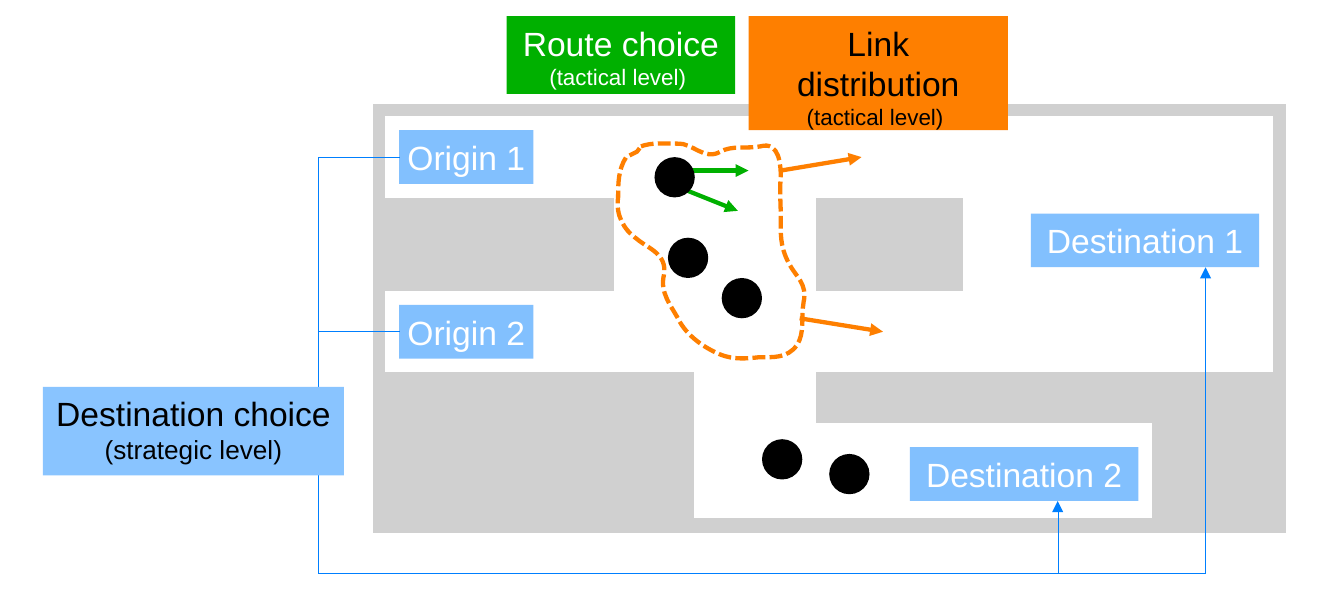
from lxml import etree
from pptx import Presentation
from pptx.dml.color import RGBColor
from pptx.enum.dml import MSO_LINE
from pptx.enum.shapes import MSO_CONNECTOR, MSO_SHAPE
from pptx.enum.text import MSO_ANCHOR, PP_ALIGN
from pptx.oxml.ns import qn
from pptx.util import Cm, Pt

RECT, OVAL = MSO_SHAPE.RECTANGLE, MSO_SHAPE.OVAL
STRAIGHT, DASH = MSO_CONNECTOR.STRAIGHT, MSO_LINE.SQUARE_DOT
CENTER = PP_ALIGN.CENTER
TOP, MIDDLE = MSO_ANCHOR.TOP, MSO_ANCHOR.MIDDLE

FONT = "Arial"
WHITE, BLACK, GREY = "FFFFFF", "000000", "D0D0D0"
BLUE, PALE_BLUE, ORANGE, GREEN = "007FFE", "89C4FF", "FE7F00", "00B000"
HAIRLINE, THICK = 0, 2.3
UNIT = 2.54      # centimetres in one unit of the floor plan


def length(v):
    return Cm(v * UNIT)


def color(hex_string):
    return RGBColor.from_string(hex_string)


def set_line(shape, line_color, width):
    shape.line.color.rgb = color(line_color)
    shape.line.width = Pt(width)
    ln = shape._element.spPr.find(qn("a:ln"))
    ln.set("w", str(Pt(width)))  # a zero width has to be written out
    return ln


def add_shape(s, kind, x, y, w, h, fill, alpha=None):
    sp = s.shapes.add_shape(kind, *map(length, (x, y, w, h)))
    sp.shadow.inherit = False
    sp.fill.solid()
    sp.fill.fore_color.rgb = color(fill)
    sp.line.fill.background()
    if alpha:
        clr = sp._element.spPr.find(qn("a:solidFill"))[0]
        etree.SubElement(clr, qn("a:alpha")).set("val", str(alpha * 1000))
    return sp


def add_text(sp, lines, text_color, anchor, wrap):
    tf = sp.text_frame
    tf.word_wrap = wrap
    tf.vertical_anchor = anchor
    for i, (text, size) in enumerate(lines):
        p = tf.add_paragraph() if i else tf.paragraphs[0]
        p.alignment = CENTER
        r = p.add_run()
        r.text = text
        r.font.name, r.font.size = FONT, Pt(size)
        r.font.color.rgb = color(text_color)


def add_line(s, x1, y1, x2, y2, line_color, width, arrow=False):
    c = s.shapes.add_connector(STRAIGHT, *map(length, (x1, y1, x2, y2)))
    ln = set_line(c, line_color, width)
    if arrow:
        etree.SubElement(ln, qn("a:tailEnd")).set("type", "triangle")
    etree.SubElement(c._element.spPr, qn("a:effectLst"))


def add_floor_plan(s, x, y, w, h):
    """Grey building with the walkable areas cut out in white."""
    areas = [
        (0, 0, w, h, GREY),                                  # building
        (0.1, 0.1, 6.6, 0.6, WHITE), (0.1, 1.4, 5.7, 0.6, WHITE),
        (1.8, 0.6, 1.5, 1.1, WHITE), (4.4, 0.7, 2.3, 1.3, WHITE),
        (2.4, 1.98, 0.9, 0.7, WHITE), (2.4, 2.38, 3.4, 0.7, WHITE),
    ]
    for dx, dy, aw, ah, fill in areas:
        sp = add_shape(s, RECT, x + dx, y + dy, aw, ah, fill)
        set_line(sp, WHITE, HAIRLINE)


def add_place_labels(s, x, y):
    """Origins and destinations, relative to the corner of the plan."""
    places = [("Origin 1", 0.2, 0.2, 1), ("Origin 2", 0.2, 1.5, 1),
              ("Destination 1", 4.9, 0.82, 1.7),
              ("Destination 2", 4, 2.56, 1.7)]
    for name, dx, dy, w in places:
        sp = add_shape(s, RECT, x + dx, y + dy, w, 0.4, BLUE, alpha=49)
        add_text(sp, [(name, 18)], WHITE, MIDDLE, False)


def add_destination_links(s, x, y, w, h):
    """Lines from the origins round the plan to the destinations."""
    right, bottom = x + w, y + h
    for line_x, tip in ((right - 1.1, 3.73), (right, 1.99)):
        add_line(s, line_x, bottom, line_x, tip, BLUE, HAIRLINE, arrow=True)
    add_line(s, right, bottom, x, bottom, BLUE, HAIRLINE)
    add_line(s, x, y, x, bottom, BLUE, HAIRLINE)
    for dy in (0, 1.3):
        add_line(s, x, y + dy, x + 0.6, y + dy, BLUE, HAIRLINE)


def add_caption(s, x, y, w, h, fill, text_color, title, level, level_size):
    sp = add_shape(s, RECT, x, y, w, h, fill)
    add_text(sp, [(title, 18), (level, level_size)], text_color, TOP, True)


def bend_segments(sp, count):
    """Join each three straight segments into one curve."""
    segments = list(sp._element.iter(qn("a:lnTo")))
    for i in range(0, 3 * count, 3):
        curve = etree.Element(qn("a:cubicBezTo"))
        segments[i].addprevious(curve)
        for segment in segments[i:i + 3]:
            curve.append(segment[0])
            segment.getparent().remove(segment)


def add_group_outline(s, x, y):
    """Dashed curve round the people, in hundredths of a unit."""
    curves = [  # two control points and an end point
        ((26, 0), (36, 1), (45, 1)), ((56, 0), (65, 14), (77, 7)),
        ((86, 2), (97, 5), (107, 3)), ((121, -1), (122, 17), (122, 26)),
        ((121, 36), (122, 46), (122, 55)), ((122, 67), (121, 77), (128, 90)),
        ((133, 100), (142, 105), (139, 119)),
        ((137, 130), (140, 142), (134, 151)),
        ((127, 161), (116, 160), (106, 160)),
        ((97, 161), (87, 162), (77, 158)), ((65, 153), (52, 144), (46, 132)),
        ((40, 121), (32, 112), (35, 99)), ((38, 83), (23, 79), (15, 72)),
        ((5, 65), (-1, 54), (1, 41)), ((1, 31), (1, 20), (7, 11)),
    ]
    points = [point for curve in curves for point in curve]
    fb = s.shapes.build_freeform(18, 3, scale=length(0.01))
    fb.add_line_segments(points + [(15, 7)], close=True)
    sp = fb.convert_to_shape(length(x), length(y))
    bend_segments(sp, len(curves))
    sp.shadow.inherit = False
    sp.fill.background()
    set_line(sp, ORANGE, THICK)
    sp.line.dash_style = DASH


def add_people(s, x, y):
    """Walkers, their route arrows and the link arrows of the group."""
    arrows = [(0.94, 0.1, 1.54, 0, ORANGE), (1.08, 1.2, 1.7, 1.3, ORANGE),
              (0.2, 0.1, 0.7, 0.1, GREEN), (0.12, 0.2, 0.62, 0.4, GREEN)]
    for x1, y1, x2, y2, c in arrows:
        add_line(s, x + x1, y + y1, x + x2, y + y2, c, THICK, arrow=True)
    for dx, dy in ((0, 0), (0.1, 0.6), (0.5, 0.9), (0.8, 2.1), (1.3, 2.21)):
        add_shape(s, OVAL, x + dx, y + dy, 0.3, 0.3, BLACK)


def main():
    prs = Presentation()
    prs.slide_width, prs.slide_height = length(10), length(4.4)
    s = prs.slides.add_slide(prs.slide_layouts[6])

    add_floor_plan(s, 2.77, 0.77, 6.8, 3.2)
    add_place_labels(s, 2.77, 0.77)
    add_destination_links(s, 2.37, 1.17, 6.6, 3.1)
    add_group_outline(s, 4.59, 1.06)
    add_people(s, 4.87, 1.17)
    add_caption(s, 0.32, 2.88, 2.24, 0.66, PALE_BLUE, BLACK,
                "Destination choice", "(strategic level)", 14)
    add_caption(s, 5.57, 0.12, 1.93, 0.85, ORANGE, BLACK,
                "Link distribution", "(tactical level) ", 12)
    add_caption(s, 3.77, 0.12, 1.7, 0.58, GREEN, WHITE,
                "Route choice", "(tactical level) ", 12)
    prs.save("out.pptx")


if __name__ == "__main__":
    main()
